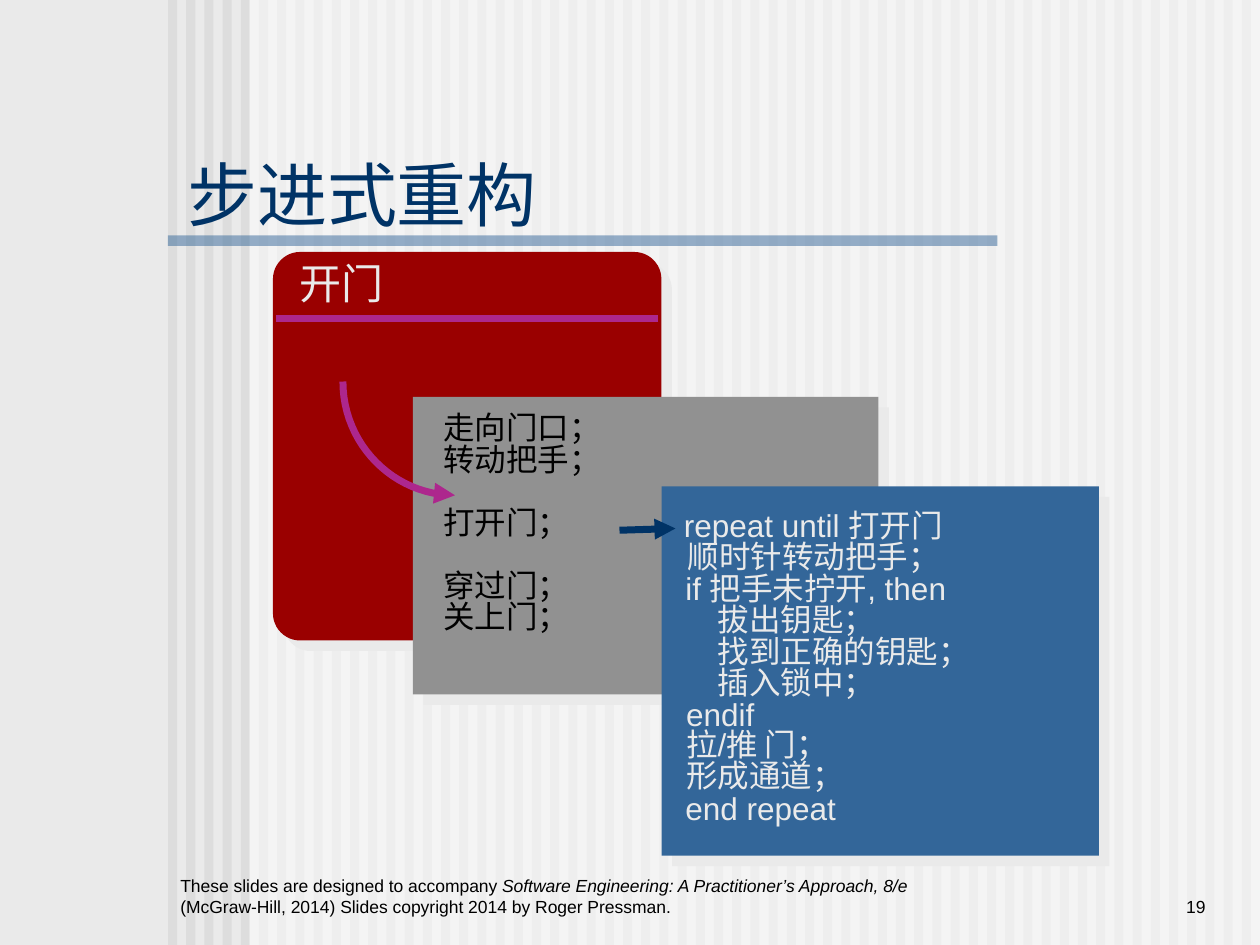
import pptx
import pptx.util
import pptx.dml.color
import pptx.enum.shapes
import pptx.enum.text
import pptx.oxml
import pptx.oxml.ns

Pt = pptx.util.Pt
RGB = pptx.dml.color.RGBColor.from_string
SHAPE = pptx.enum.shapes.MSO_SHAPE
ANCHOR = pptx.enum.text.MSO_ANCHOR
ALIGN = pptx.enum.text.PP_ALIGN
NS = pptx.oxml.ns.nsdecls("a")

COLORS = {
    "paper": "EAEAEA", "stripe": "DDDDDD", "white": "FFFFFF",
    "blue": "336699", "navy": "003366", "red": "9A0000",
    "gray": "919191", "purple": "AD278D", "black": "000000",
}


def add_block(left, top, width, height, color, kind=SHAPE.RECTANGLE, alpha=None, shadow=False):
    block = slide.shapes.add_shape(kind, Pt(left), Pt(top), Pt(width), Pt(height))
    block.shadow.inherit = False
    block.fill.solid()
    block.fill.fore_color.rgb = RGB(COLORS[color])
    block.line.fill.background()
    if alpha:
        srgb = block.fill._xPr.find(".//" + pptx.oxml.ns.qn("a:srgbClr"))
        srgb.append(pptx.oxml.parse_xml(f'<a:alpha {NS} val="{alpha * 1000}"/>'))
    if shadow:
        effects = block._element.spPr.find(pptx.oxml.ns.qn("a:effectLst"))
        effects.append(pptx.oxml.parse_xml(
            f'<a:outerShdw {NS} dist="{Pt(8.5)}" dir="2700000" algn="ctr" rotWithShape="0">'
            f'<a:srgbClr val="{COLORS["paper"]}"/></a:outerShdw>'))
    return block


def add_text(left, top, width, height, paragraphs, size, color, wrap=False, anchor=ANCHOR.TOP):
    """Each paragraph is a list of (text, italic) runs."""
    frame = slide.shapes.add_textbox(Pt(left), Pt(top), Pt(width), Pt(height)).text_frame
    frame.word_wrap = wrap
    frame.vertical_anchor = anchor
    for index, runs in enumerate(paragraphs):
        paragraph = frame.add_paragraph() if index else frame.paragraphs[0]
        for text, italic in runs:
            run = paragraph.add_run()
            run.text = text
            run.font.name = "Arial"
            run.font.size = Pt(size)
            run.font.italic = italic
            run.font.color.rgb = RGB(COLORS[color])
    return frame


deck = pptx.Presentation()
deck.slide_width, deck.slide_height = Pt(720), Pt(540)
slide = deck.slides.add_slide(deck.slide_layouts[5])
slide.background.fill.solid()
slide.background.fill.fore_color.rgb = RGB(COLORS["paper"])

# Striped background, veil and title rule
for stripe in range(60):
    add_block(96 + 10.4 * stripe, 0, 5.2, 540, "stripe")
add_block(142.5, 0, 577.5, 540, "white", alpha=50)
add_block(96, 134.5, 474, 6, "blue", alpha=50)

# Footer and slide number
add_text(96, 491.6, 432, 36, [[
    ("These slides are designed to accompany ", False),
    ("Software Engineering: A Practitioner’s Approach, 8/e ", True),
    ("(McGraw-Hill, 2014) Slides copyright 2014 by Roger Pressman.", False),
]], 10, "black", wrap=True, anchor=ANCHOR.BOTTOM)
number = add_text(594, 491.6, 102, 36, [[("19", False)]], 10, "black", wrap=True, anchor=ANCHOR.BOTTOM)
number.paragraphs[0].alignment = ALIGN.RIGHT

# Title, brought in front of the background
title = slide.shapes.title
slide.shapes._spTree.append(title._element)
title.left, title.top, title.width, title.height = Pt(102), Pt(84), Pt(212), Pt(52.5)
heading = title.text_frame
heading.auto_size = pptx.enum.text.MSO_AUTO_SIZE.NONE
heading.margin_left = heading.margin_right = Pt(5)
heading.margin_top = heading.margin_bottom = Pt(2.5)
heading.vertical_anchor = ANCHOR.TOP
heading.paragraphs[0].alignment = ALIGN.LEFT
heading_run = heading.paragraphs[0].add_run()
heading_run.text = "步进式重构"
heading_run.font.name = "Arial"
heading_run.font.size = Pt(40)
heading_run.font.color.rgb = RGB(COLORS["navy"])

# Red card: the whole task
task = add_block(156, 144, 222, 222, "red", SHAPE.ROUNDED_RECTANGLE, shadow=True)
task.adjustments[0] = 0.07
task_rule = slide.shapes.add_connector(
    pptx.enum.shapes.MSO_CONNECTOR.STRAIGHT, Pt(158), Pt(182), Pt(376), Pt(182))
add_text(164, 143.6, 68, 36, [[("开门", False)]], 24, "paper")

# Gray card: first refinement, on an 18 pt line grid
add_block(236, 226.8, 266, 170, "gray", shadow=True)
for row, step in [(0, "走向门口；"), (1, "转动把手；"), (3, "打开门；"), (5, "穿过门；"), (6, "关上门；")]:
    add_text(246.3, 229.7 + 18 * row, 18 * len(step) + 18, 29, [[(step, False)]], 18, "black")

# Blue card: second refinement, on the same line grid
add_block(378, 278, 250, 211, "blue", shadow=True)
code_lines = [
    (0, 383.7, 178, ["repeat until 打开门"]),
    (1, 386, 164, ["顺时针转动把手；"]),
    (2, 384.5, 182, ["if 把手未拧开, then"]),
    (3, 387, 130, ["    拔出钥匙；"]),
    (4, 387, 184, ["    找到正确的钥匙；"]),
    (5, 387, 130, ["    插入锁中；"]),
    (6, 385, 62, ["endif"]),
    (7.2, 385, 110, ["拉/推 门；", "形成通道；"]),
    (9, 384.5, 110, ["end repeat"]),
]
for row, left, width, code in code_lines:
    code_text = add_text(left, 285.6 + 18 * row, width, 29, [[(line, False)] for line in code], 18, "paper")
    if len(code) > 1:
        for paragraph in code_text.paragraphs:
            paragraph.line_spacing = 0.8

# Arrows from each step to its refinement
refine_arrow = slide.shapes.add_connector(
    pptx.enum.shapes.MSO_CONNECTOR.STRAIGHT, Pt(354), Pt(303), Pt(386), Pt(302))
start, bend_1, bend_2, end = (196, 218), (196, 254), (225, 283), (260, 283)
curve = []
for step in range(25):
    t = step / 24
    curve.append(tuple(
        100 * ((1 - t) ** 3 * a + 3 * t * (1 - t) ** 2 * b + 3 * t * t * (1 - t) * c + t ** 3 * d)
        for a, b, c, d in zip(start, bend_1, bend_2, end)))
# The outline is drawn in hundredths of a point
outline = slide.shapes.build_freeform(*curve[0], scale=Pt(1) / 100)
outline.add_line_segments(curve[1:], close=False)
task_arrow = outline.convert_to_shape()
task_arrow.fill.background()
task_arrow.shadow.inherit = False

for stroke, color, arrowhead in [(task_rule, "purple", False), (refine_arrow, "navy", True), (task_arrow, "purple", True)]:
    stroke.line.color.rgb = RGB(COLORS[color])
    stroke.line.width = Pt(4)
    if arrowhead:
        stroke.line._get_or_add_ln().append(pptx.oxml.parse_xml(f'<a:tailEnd {NS} type="triangle"/>'))
for connector in (task_rule, refine_arrow):
    connector._element.spPr.append(pptx.oxml.parse_xml(f"<a:effectLst {NS}/>"))

deck.save("out.pptx")
